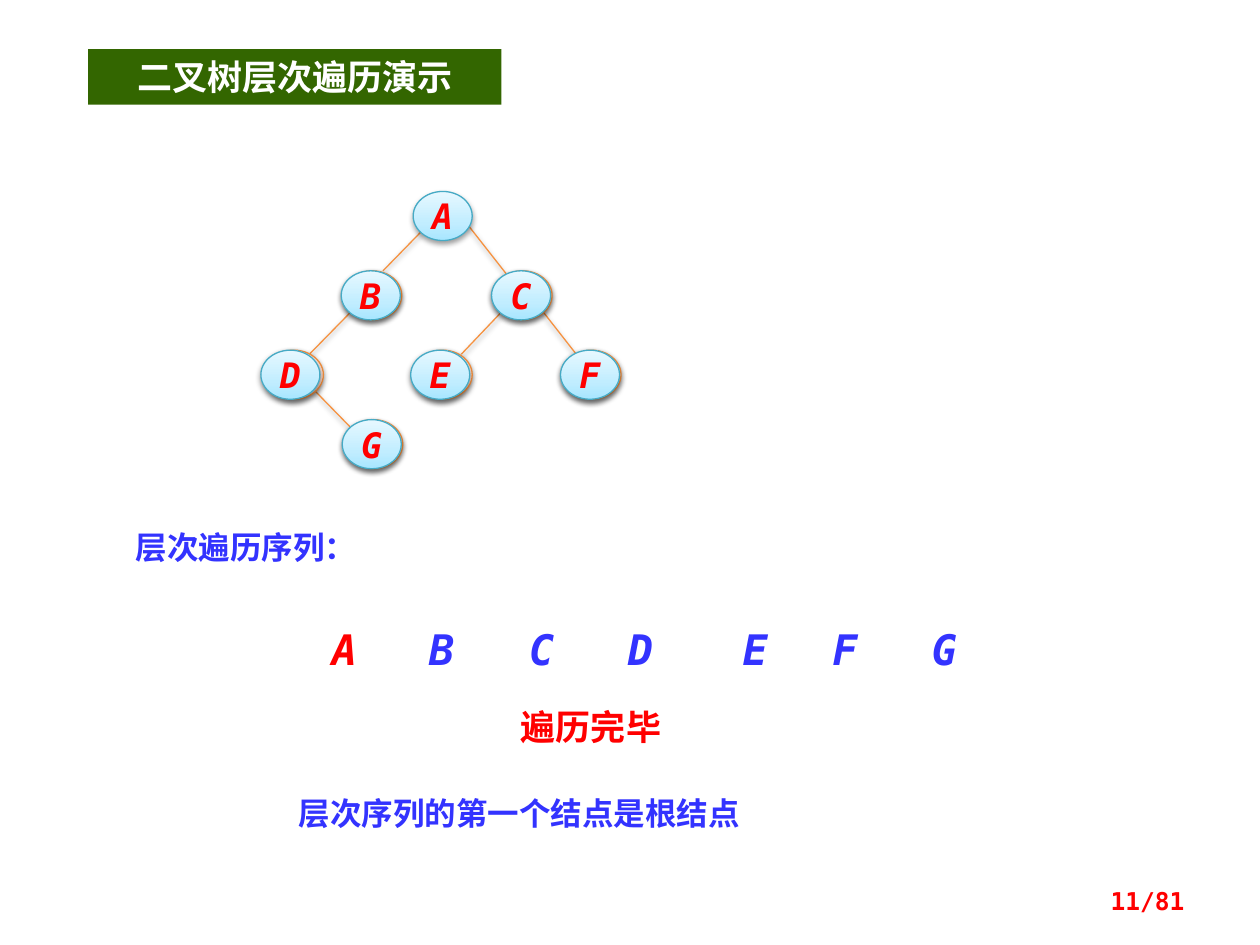
import pptx
import pptx.dml.color
import pptx.enum.shapes
import pptx.enum.text
import pptx.oxml
import pptx.oxml.ns
import pptx.util

Cm = pptx.util.Cm
Pt = pptx.util.Pt
ALIGN = pptx.enum.text.PP_ALIGN
ANCHOR = pptx.enum.text.MSO_ANCHOR
SHAPE = pptx.enum.shapes.MSO_SHAPE

COLORS = {
    "red": "FF0000",
    "blue": "3333FF",
    "white": "FFFFFF",
    "green": "336600",
    "orange line": "F69240",
    "teal line": "46AAC5",
}
WAITING = ("FFD2BD", "FFDED0", "FFF2ED")
VISITED = ("A7E6FF", "C1EDFF", "E7F8FF")
NODE_WIDTH, NODE_HEIGHT = 1.19, 0.99

# Letter: left, top and how far the waiting node sticks out to the right
NODES = {
    "A": (8.33, 3.86, 0),
    "B": (6.88, 5.46, 0.03),
    "C": (9.91, 5.46, 0.03),
    "D": (5.26, 7.06, 0.07),
    "E": (8.28, 7.06, 0.05),
    "F": (11.3, 7.06, 0.03),
    "G": (6.9, 8.46, 0.03),
}
BRANCHES = [
    (6.32, 7.85, 7.11, 8.66),
    (8.51, 4.65, 7.72, 5.46),
    (9.42, 4.52, 10.26, 5.59),
    (7.11, 6.25, 6.12, 7.26),
    (10.08, 6.32, 9.3, 7.14),
    (10.92, 6.25, 11.71, 7.26),
]
SEQUENCE_LEFTS = {"A": 5.94, "B": 7.9, "C": 9.91, "D": 11.91,
                  "E": 14.22, "F": 16.03, "G": 18.03}


def rgb(name):
    return pptx.dml.color.RGBColor.from_string(COLORS[name])


class TreeSlide:
    latin = "DejaVu Sans Mono"
    chinese = "Noto Sans CJK SC"

    def __init__(self, slide):
        self.shapes = slide.shapes

    def set_text(self, shape, text, size, color, align, italic=False, latin=None):
        paragraph = shape.text_frame.paragraphs[0]
        paragraph.text = text
        paragraph.alignment = align
        font = paragraph.font
        font.size = Pt(size)
        font.bold = True
        font.italic = italic
        font.color.rgb = rgb(color)
        font.name = latin or self.latin
        defaults = paragraph._p.pPr.find(pptx.oxml.ns.qn("a:defRPr"))
        defaults.append(pptx.oxml.parse_xml(
            f'<a:ea {pptx.oxml.ns.nsdecls("a")} typeface="{self.chinese}"/>'))

    def outline(self, shape, color):
        """Give a thin line and the soft shadow below it."""
        shape.line.color.rgb = rgb(color)
        shape.line.width = Pt(0.75)
        shape._element.spPr.append(pptx.oxml.parse_xml(
            f'<a:effectLst {pptx.oxml.ns.nsdecls("a")}>'
            '<a:outerShdw blurRad="40000" dist="20000" dir="5400000" rotWithShape="0">'
            '<a:srgbClr val="000000"><a:alpha val="38000"/></a:srgbClr>'
            '</a:outerShdw></a:effectLst>'))

    def branch(self, *ends):
        line = self.shapes.add_connector(
            pptx.enum.shapes.MSO_CONNECTOR.STRAIGHT, *map(Cm, ends))
        self.outline(line, "orange line")

    def node(self, left, top, gradient, line_color, letter=None):
        node = self.shapes.add_shape(
            SHAPE.OVAL, Cm(left), Cm(top), Cm(NODE_WIDTH), Cm(NODE_HEIGHT))
        stops = "".join(
            f'<a:gs pos="{position}"><a:srgbClr val="{color}"/></a:gs>'
            for position, color in zip((0, 35000, 100000), gradient))
        node._element.spPr.insert(2, pptx.oxml.parse_xml(
            f'<a:gradFill {pptx.oxml.ns.nsdecls("a")} rotWithShape="1">'
            f'<a:gsLst>{stops}</a:gsLst><a:lin ang="16200000" scaled="1"/></a:gradFill>'))
        self.outline(node, line_color)
        if letter:
            node.text_frame.word_wrap = False
            node.text_frame.vertical_anchor = ANCHOR.MIDDLE
            self.set_text(node, letter, 20, "red", ALIGN.CENTER, italic=True)

    def banner(self, text, left, top, width, height):
        banner = self.shapes.add_shape(
            SHAPE.RECTANGLE, Cm(left), Cm(top), Cm(width), Cm(height))
        banner.shadow.inherit = False
        banner.fill.solid()
        banner.fill.fore_color.rgb = rgb("green")
        banner.line.fill.background()
        banner.text_frame.vertical_anchor = ANCHOR.TOP
        self.set_text(banner, text, 20, "white", ALIGN.CENTER, latin=self.chinese)

    def label(self, text, left, top, width, height, size, color,
              align=ALIGN.LEFT, anchor=ANCHOR.TOP, **style):
        label = self.shapes.add_textbox(Cm(left), Cm(top), Cm(width), Cm(height))
        label.text_frame.word_wrap = True
        label.text_frame.vertical_anchor = anchor
        self.set_text(label, text, size, color, align, **style)


def main():
    presentation = pptx.Presentation()
    presentation.slide_width = Cm(25.4)
    presentation.slide_height = Cm(19.05)
    tree = TreeSlide(presentation.slides.add_slide(presentation.slide_layouts[6]))

    tree.banner("二叉树层次遍历演示", 1.78, 0.99, 8.33, 1.12)

    for ends in BRANCHES:
        tree.branch(*ends)
    for left, top, offset in NODES.values():
        if offset:
            tree.node(left + offset, top, WAITING, "orange line")
    for letter, (left, top, _) in NODES.items():
        tree.node(left, top, VISITED, "teal line", letter)

    tree.label("层次遍历序列：", 2.49, 10.52, 7.21, 1.02, 18, "blue")
    for letter, left in SEQUENCE_LEFTS.items():
        tree.label(letter, left, 12.45, 2.01, 1.27, 24,
                   "red" if letter == "A" else "blue", ALIGN.CENTER, italic=True)
    tree.label("遍历完毕", 8.51, 14.1, 6.81, 1.12, 20, "red", ALIGN.CENTER)
    tree.label("层次序列的第一个结点是根结点", 5.77, 15.88, 13.89, 1.02, 18, "blue",
               latin="Noto Sans CJK JP")
    tree.label("11/81", 18.21, 17.65, 5.92, 1.02, 14, "red", ALIGN.RIGHT, ANCHOR.MIDDLE)

    presentation.save("out.pptx")


if __name__ == "__main__":
    main()
